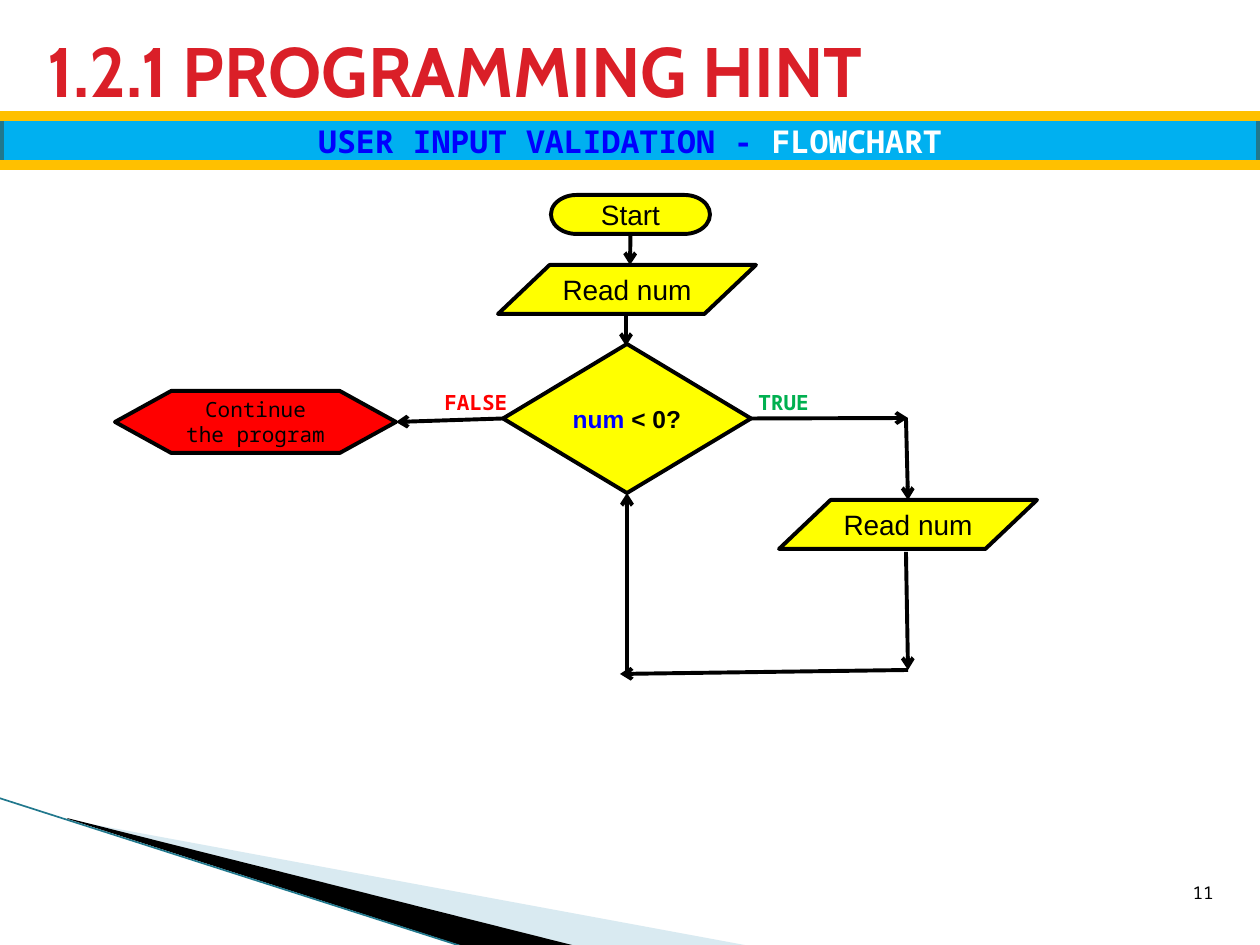
from lxml import etree
from pptx import Presentation
from pptx.dml.color import RGBColor
from pptx.enum.shapes import MSO_CONNECTOR, MSO_SHAPE
from pptx.enum.text import MSO_ANCHOR, PP_ALIGN
from pptx.oxml.ns import qn
from pptx.util import Pt

EMU_PER_PX = 914400 / 126
STRAIGHT = MSO_CONNECTOR.STRAIGHT
RECTANGLE = MSO_SHAPE.RECTANGLE
TERMINATOR = MSO_SHAPE.FLOWCHART_TERMINATOR
INPUT_OUTPUT = MSO_SHAPE.FLOWCHART_DATA
DECISION = MSO_SHAPE.FLOWCHART_DECISION
PREPARATION = MSO_SHAPE.FLOWCHART_PREPARATION
TOP, MIDDLE, BOTTOM = MSO_ANCHOR.TOP, MSO_ANCHOR.MIDDLE, MSO_ANCHOR.BOTTOM
LEFT, CENTER, RIGHT = PP_ALIGN.LEFT, PP_ALIGN.CENTER, PP_ALIGN.RIGHT
SITE_LEFT, SITE_BOTTOM, SITE_RIGHT = 1, 2, 3


def px(*lengths):
    return [round(length * EMU_PER_PX) for length in lengths]


def color(hex_string):
    return RGBColor.from_string(hex_string)


class SlideBuilder:
    sans = "Arial"
    mono = "Noto Sans Mono"
    heading = "Cabin"
    black = "000000"
    yellow = "FFFF00"
    red = "FF0000"
    blue = "0000FF"
    line_width = 2.25

    def __init__(self, slide):
        self.slide = slide

    def set_text(self, shape, runs, size, font, bold=False, align=CENTER, anchor=MIDDLE, wrap=True):
        frame = shape.text_frame
        frame.word_wrap = wrap
        frame.vertical_anchor = anchor
        paragraph = frame.paragraphs[0]
        paragraph.alignment = align
        paragraph.font.size = Pt(size)
        paragraph.font.name = font
        paragraph.font.bold = bold
        for text, run_color in runs:
            run = paragraph.add_run()
            run.text = text
            run.font.color.rgb = color(run_color)

    def text(self, box, text, size, font, text_color, **options):
        shape = self.slide.shapes.add_textbox(*px(*box))
        self.set_text(shape, [(text, text_color)], size, font, **options)

    def box(self, kind, box, fill, runs, size, font, line=black, width=line_width, **options):
        shape = self.slide.shapes.add_shape(kind, *px(*box))
        shape.shadow.inherit = False
        shape.fill.solid()
        shape.fill.fore_color.rgb = color(fill)
        shape.line.color.rgb = color(line)
        shape.line.width = Pt(width)
        self.set_text(shape, runs, size, font, **options)
        return shape

    def step(self, kind, box, text):
        return self.box(kind, box, self.yellow, [(text, self.black)], 16, self.sans, wrap=False)

    def line(self, start, end, line_color, width):
        connector = self.slide.shapes.add_connector(STRAIGHT, *px(*start, *end))
        connector.line.color.rgb = color(line_color)
        connector.line.width = Pt(width)
        etree.SubElement(connector._element.spPr, qn("a:effectLst"))
        return connector

    def arrow(self, start, end, source=None, target=None):
        connector = self.line(start, end, self.black, self.line_width)
        outline = connector._element.spPr.find(qn("a:ln"))
        etree.SubElement(outline, qn("a:tailEnd"), type="arrow")
        if source:
            connector.begin_connect(*source)
        if target:
            connector.end_connect(*target)

    def wedge(self, points, fill, opacity=100):
        builder = self.slide.shapes.build_freeform(*points[0], scale=EMU_PER_PX)
        builder.add_line_segments(points[1:], close=True)
        shape = builder.convert_to_shape()
        shape.shadow.inherit = False
        shape.fill.solid()
        shape.fill.fore_color.rgb = color(fill)
        shape.line.fill.background()
        if opacity < 100:
            fill_color = shape._element.spPr.find(qn("a:solidFill"))[0]
            etree.SubElement(fill_color, qn("a:alpha"), val=str(opacity * 1000))


def main():
    presentation = Presentation()
    presentation.slide_width, presentation.slide_height = px(1260, 945)
    slide = presentation.slides.add_slide(presentation.slide_layouts[6])
    builder = SlideBuilder(slide)
    black, blue, mono = builder.black, builder.blue, builder.mono

    builder.wedge([(69, 820), (750, 946), (575, 946), (69, 819)], "A0CBDC", 40)
    builder.wedge([(67, 818), (576, 946), (469, 948), (68, 819)], black)
    builder.line((-1, 798), (467, 948), "21788D", 0.95)

    builder.box(RECTANGLE, (0, 116, 1260, 49), "00B0F0",
                [("USER INPUT VALIDATION - ", blue), ("FLOWCHART", "FFFFFF")],
                18, mono, line="21788D", width=4.33, bold=True)
    builder.text((35, 16, 1124, 107), "1.2.1 PROGRAMMING HINT", 40, builder.heading, "DA1F28",
                 bold=True, align=LEFT)
    for y in (116, 165):
        builder.line((0, y), (1260, y), "FFC000", 6)
    builder.text((1176, 859, 50, 50), "11", 10, mono, black, align=RIGHT, anchor=BOTTOM)

    start = builder.step(TERMINATOR, (551, 195, 159, 39), "Start")
    for left, top in ((498, 265), (779, 500)):
        builder.step(INPUT_OUTPUT, (left, top, 258, 49), "Read num")
    decision = builder.box(DECISION, (503, 344, 248, 149), builder.yellow,
                           [("num", blue), (" < 0?", black)], 14, builder.sans,
                           bold=True, wrap=False)
    finish = builder.box(PREPARATION, (115, 391, 281, 62), builder.red,
                         [("Continue the program", black)], 12, mono)

    builder.arrow((630, 234), (630, 265), source=(start, SITE_BOTTOM))
    builder.arrow((626, 316), (626, 346))
    builder.arrow((751, 418), (908, 418), source=(decision, SITE_RIGHT))
    builder.arrow((906, 418), (908, 500))
    builder.arrow((906, 552), (908, 670))
    builder.arrow((908, 670), (620, 674))
    builder.arrow((627, 674), (627, 493), target=(decision, SITE_BOTTOM))
    builder.arrow((503, 418), (396, 422), source=(decision, SITE_LEFT), target=(finish, SITE_RIGHT))

    for left, text, text_color in ((746, "TRUE", "00B050"), (432, "FALSE", builder.red)):
        builder.text((left, 383, 100, 38), text, 12, mono, text_color,
                     bold=True, align=LEFT, anchor=TOP)

    presentation.save("out.pptx")


if __name__ == "__main__":
    main()
